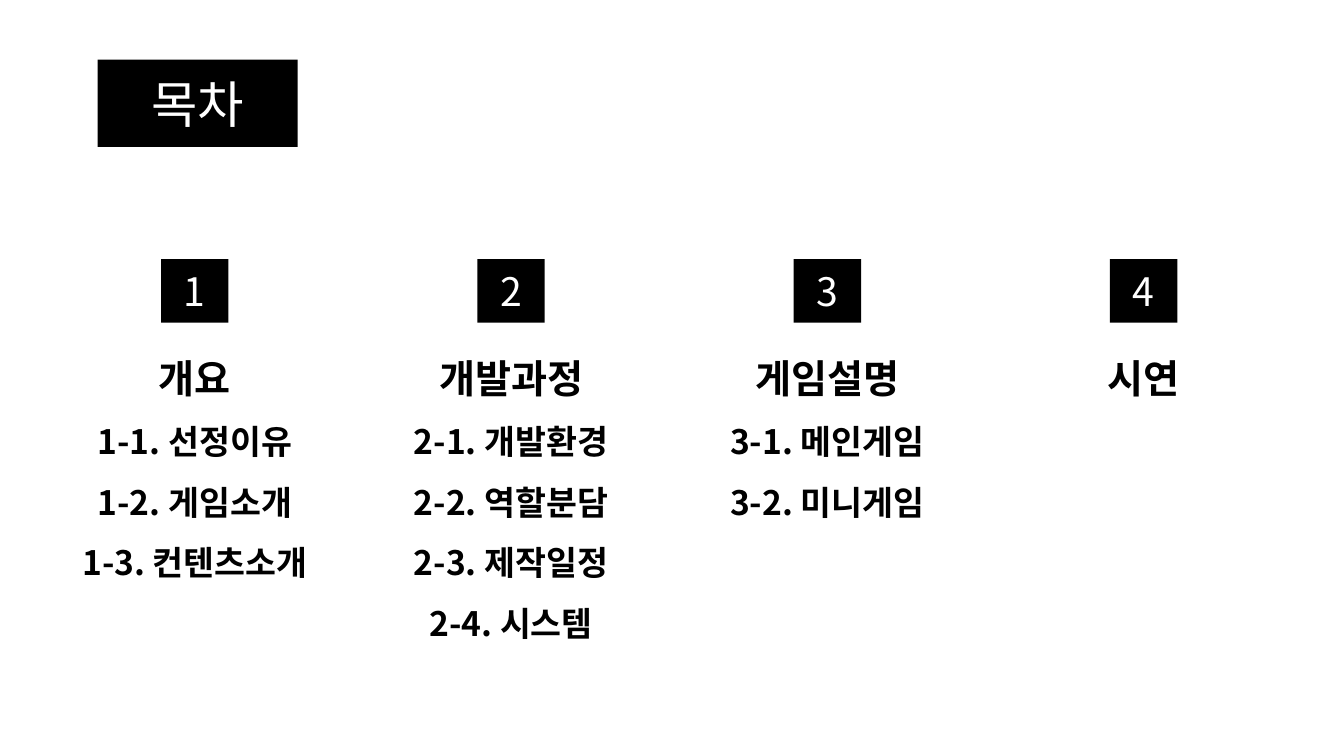
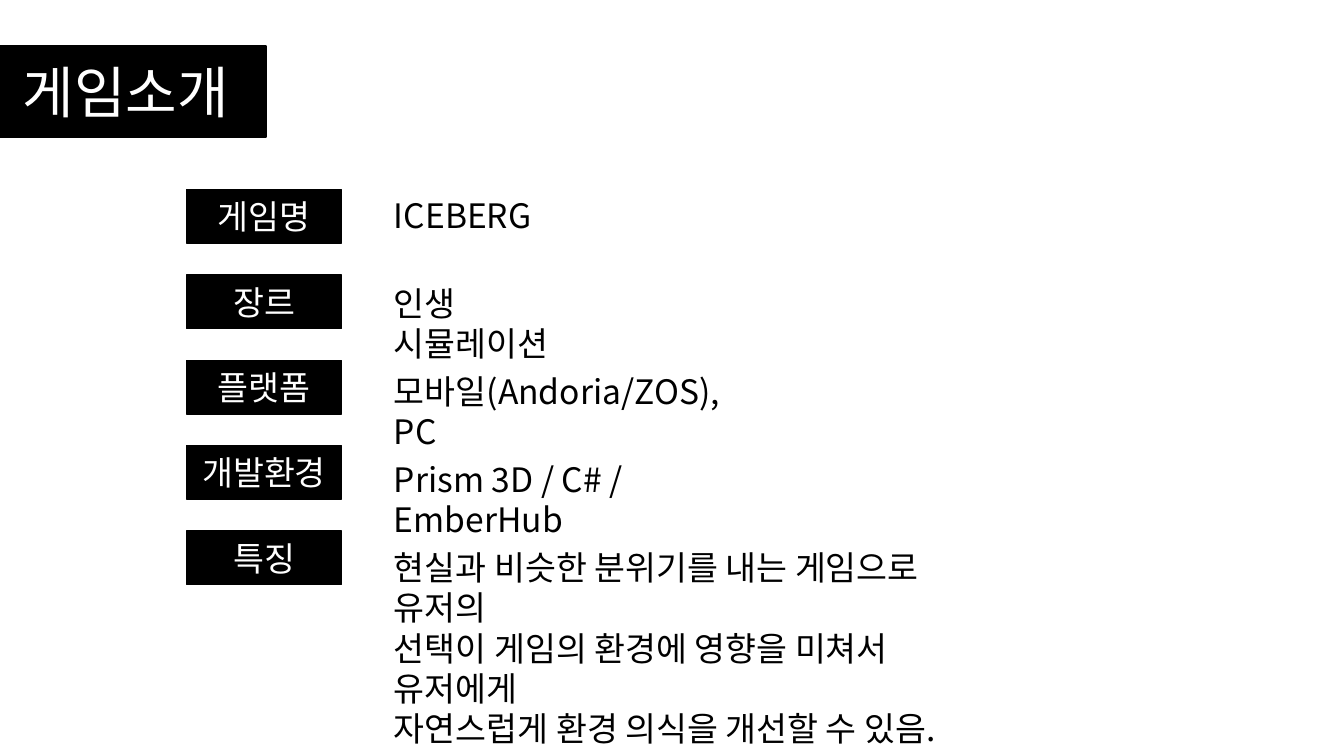
import pptx
import pptx.dml.color
import pptx.enum.shapes
import pptx.enum.text
import pptx.oxml.ns
import pptx.util
from dataclasses import dataclass
from lxml import etree

Cm = pptx.util.Cm
qn = pptx.oxml.ns.qn
PP_ALIGN = pptx.enum.text.PP_ALIGN
ANCHOR = pptx.enum.text.MSO_ANCHOR

# Content
AGENDA_TITLE = "목차"
AGENDA = [
    ("개요", ["1-1. 선정이유", "1-2. 게임소개", "1-3. 컨텐츠소개"]),
    ("개발과정", ["2-1. 개발환경", "2-2. 역할분담", "2-3. 제작일정", "2-4. 시스템"]),
    ("게임설명", ["3-1. 메인게임", "3-2. 미니게임"]),
    ("시연", []),
]
GAME_TITLE = "게임소개"
GAME_FACTS = [  # label, lines, width of the text in cm
    ("게임명", ["ICEBERG"], 4.1),
    ("장르", ["인생 시뮬레이션"], 5.97),
    ("플랫폼", ["모바일(Andoria/ZOS), PC"], 9.6),
    ("개발환경", ["Prism 3D / C# / EmberHub"], 10.34),
    ("특징", ["현실과 비슷한 분위기를 내는 게임으로 유저의",
            "선택이 게임의 환경에 영향을 미쳐서 유저에게",
            "자연스럽게 환경 의식을 개선할 수 있음."], 15.9),
]


@dataclass(frozen=True)
class Theme:
    ink: str = "000000"
    paper: str = "FFFFFF"
    font: str = "Noto Sans CJK KR"
    agenda_title: int = 36
    game_title: int = 40
    heading: int = 28
    body: int = 24


T = Theme()


def rgb(value):
    return pptx.dml.color.RGBColor.from_string(value)


def write(tf, text, size=T.body, color=T.ink, bold=False, align=PP_ALIGN.LEFT,
          spacing=None, anchor=ANCHOR.TOP, first=True):
    """Put one paragraph in a text frame; first=False adds it at the end."""
    tf.word_wrap = True
    tf.auto_size = pptx.enum.text.MSO_AUTO_SIZE.NONE
    tf.vertical_anchor = anchor
    p = tf.paragraphs[0] if first else tf.add_paragraph()
    p.alignment = align
    if spacing:
        p.line_spacing = spacing
    r = p.add_run()
    r.text = text
    r.font.size = pptx.util.Pt(size)
    r.font.bold = bold
    r.font.name = T.font
    r.font.color.rgb = rgb(color)
    etree.SubElement(r._r.get_or_add_rPr(), qn("a:ea"), typeface=T.font)


def paint(sp, text, size, outline):
    """Black block with centred white text."""
    sp.fill.solid()
    sp.fill.fore_color.rgb = rgb(T.ink)
    if outline:
        sp.line.color.rgb = rgb(T.ink)
        sp.line.width = pptx.util.Pt(1)
    else:
        sp.line.fill.background()
    write(sp.text_frame, text, size=size, color=T.paper,
          align=PP_ALIGN.CENTER, anchor=ANCHOR.MIDDLE)


def add_block(s, text, left, top, width, height, size, outline=False):
    sp = s.shapes.add_shape(pptx.enum.shapes.MSO_SHAPE.RECTANGLE,
                            Cm(left), Cm(top), Cm(width), Cm(height))
    sp.shadow.inherit = False
    paint(sp, text, size, outline)


def add_text(s, left, top, width, height):
    return s.shapes.add_textbox(Cm(left), Cm(top), Cm(width), Cm(height)).text_frame


def add_titled_slide(prs, text, box, size, geometry="rect", outline=False):
    s = prs.slides.add_slide(prs.slide_layouts[5])
    sp = s.shapes.title
    sp.left, sp.top, sp.width, sp.height = (Cm(v) for v in box)
    geom = etree.SubElement(sp._element.spPr, qn("a:prstGeom"), prst=geometry)
    etree.SubElement(geom, qn("a:avLst"))
    paint(sp, text, size, outline)
    return s


def build_agenda(prs):
    s = add_titled_slide(prs, AGENDA_TITLE, (2.46, 1.5, 5.04, 2.2),
                         T.agenda_title, geometry="homePlate")
    first_center, pitch, column = 4.91, 7.97, 7
    side, tall = 1.7, 1.6
    for i, (heading, items) in enumerate(AGENDA):
        center = first_center + i * pitch
        add_block(s, str(i + 1), center - side / 2, 6.53, side, tall, T.heading)
        tf = add_text(s, center - column / 2, 8.8, column, 1.45 + 1.5 * len(items))
        write(tf, heading, size=T.heading, bold=True, align=PP_ALIGN.CENTER)
        for item in items:
            write(tf, item, bold=True, align=PP_ALIGN.CENTER, spacing=1.5, first=False)


def build_game(prs):
    s = add_titled_slide(prs, GAME_TITLE, (-0.36, 1.16, 7.06, 2.29),
                         T.game_title, outline=True)
    top, label_pitch, text_pitch = 4.78, 2.15, 2.22
    for i, (label, lines, width) in enumerate(GAME_FACTS):
        add_block(s, label, 4.7, top + i * label_pitch, 3.91, 1.35, T.body, outline=True)
        tf = add_text(s, 9.68, top + i * text_pitch, width, 0.24 + 1.03 * len(lines))
        for n, line in enumerate(lines):
            write(tf, line, first=n == 0)


def main():
    prs = pptx.Presentation()
    prs.slide_width, prs.slide_height = Cm(33.87), Cm(19.05)
    build_agenda(prs)
    build_game(prs)
    prs.save("out.pptx")


if __name__ == "__main__":
    main()
